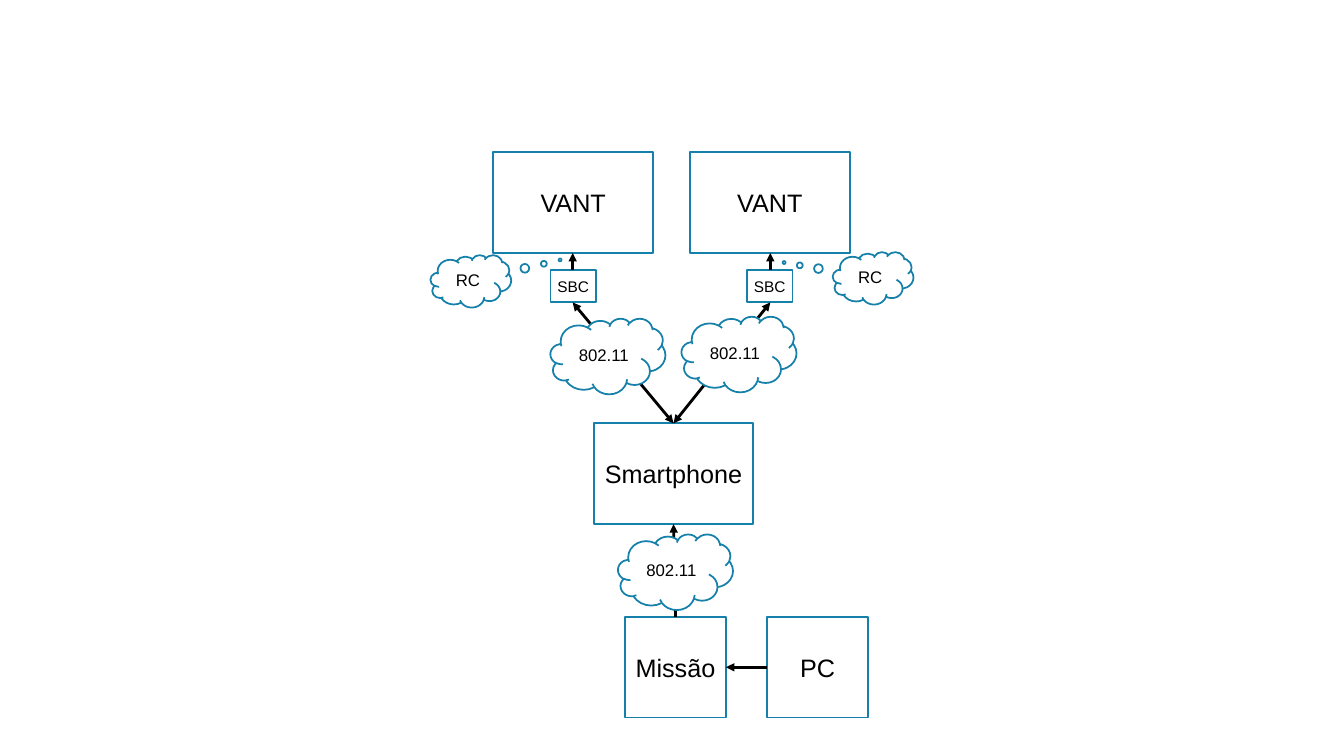
from dataclasses import dataclass

from lxml.etree import SubElement
from pptx import Presentation
from pptx.dml.color import RGBColor
from pptx.enum.shapes import MSO_CONNECTOR as Connector, MSO_SHAPE as Shape
from pptx.enum.text import MSO_ANCHOR as Anchor, PP_ALIGN as Align
from pptx.oxml.ns import qn
from pptx.slide import Slide
from pptx.util import Emu, Pt

EMU_PER_PX = 9144  # 100 px to the inch
OUTLINE, INK, WHITE = "1580A9", "000000", "FFFFFF"
FONT = "Arial"


@dataclass
class Node:
    text: str
    left: int
    top: int
    width: int
    height: int
    size: int = 18
    kind: Shape = Shape.RECTANGLE
    fill: str | None = None
    tail_offset: tuple[float, ...] = ()


@dataclass
class Link:
    start: tuple[int, int]
    end: tuple[int, int]
    two_way: bool = False


def px(value: int) -> Emu:
    return Emu(value * EMU_PER_PX)


def color(value: str) -> RGBColor:
    return RGBColor.from_string(value)


def wifi(left: int, top: int) -> Node:
    return Node("802.11", left, top, 114, 75, 12, Shape.CLOUD, WHITE)


def remote(left: int, top: int, *tail_offset: float) -> Node:
    return Node("RC", left, top, 80, 52, 12, Shape.CLOUD_CALLOUT, WHITE, tail_offset)


def draw_node(slide: Slide, node: Node) -> None:
    shape = slide.shapes.add_shape(
        node.kind, px(node.left), px(node.top), px(node.width), px(node.height))
    shape.shadow.inherit = False
    for index, offset in enumerate(node.tail_offset):
        shape.adjustments[index] = offset
    if node.fill:
        shape.fill.solid()
        shape.fill.fore_color.rgb = color(node.fill)
    else:
        shape.fill.background()
    shape.line.color.rgb = color(OUTLINE)
    shape.line.width = Pt(1.25)

    frame = shape.text_frame
    frame.word_wrap = False
    frame.vertical_anchor = Anchor.MIDDLE
    frame.margin_left = frame.margin_right = 0
    paragraph = frame.paragraphs[0]
    paragraph.alignment = Align.CENTER
    run = paragraph.add_run()
    run.text = node.text
    run.font.name = FONT
    run.font.size = Pt(node.size)
    run.font.color.rgb = color(INK)


def draw_link(slide: Slide, link: Link) -> None:
    connector = slide.shapes.add_connector(
        Connector.STRAIGHT, *map(px, link.start + link.end))
    connector.line.color.rgb = color(INK)
    connector.line.width = Pt(2)
    line = connector.line._get_or_add_ln()
    if link.two_way:
        SubElement(line, qn("a:headEnd"), type="triangle")
    SubElement(line, qn("a:tailEnd"), type="triangle")
    SubElement(connector._element.spPr, qn("a:effectLst"))


# Two drones side by side, each with its own single-board computer
DRONE_STEP = 195
DRONES = [
    node
    for shift in (0, DRONE_STEP)
    for node in (Node("VANT", 489 + shift, 151, 159, 100),
                 Node("SBC", 546 + shift, 268, 45, 32, 11))
]

# Ground equipment
GROUND = [
    Node("Smartphone", 589, 420, 158, 100),
    Node("Missão", 620, 612, 100, 100),
    Node("PC", 761, 612, 100, 100),
]

# Arrows that run behind the wireless clouds
PHONE_TOP = (668, 420)
BOARD_CENTERS = (568, 764)
RADIO_LINKS = [
    Link((761, 662), (720, 662)),
    Link((670, 612), (668, 520)),
    *(Link(PHONE_TOP, (x, 300), two_way=True) for x in BOARD_CENTERS),
]
BOARD_LINKS = [Link((x, 268), (x, 251)) for x in BOARD_CENTERS]

WIFI_CLOUDS = [wifi(546, 316), wifi(676, 314), wifi(613, 530)]
REMOTES = [remote(427, 253, 1.106, -0.406), remote(826, 250, -1.104, -0.298)]


def main() -> None:
    presentation = Presentation()
    presentation.slide_width = px(1333)
    presentation.slide_height = px(750)
    slide = presentation.slides.add_slide(presentation.slide_layouts[6])

    # From back to front
    for item in DRONES + GROUND + RADIO_LINKS + WIFI_CLOUDS + BOARD_LINKS + REMOTES:
        if isinstance(item, Link):
            draw_link(slide, item)
        else:
            draw_node(slide, item)

    presentation.save("out.pptx")


if __name__ == "__main__":
    main()
